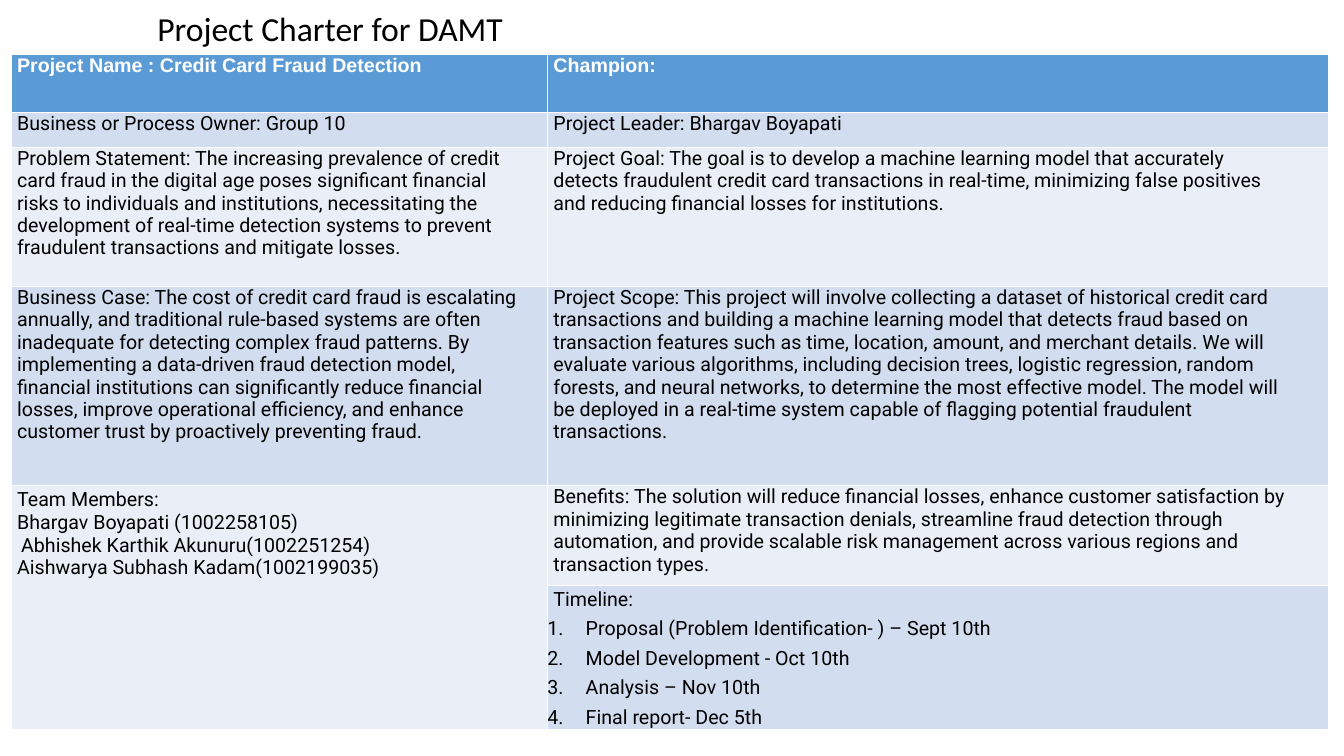
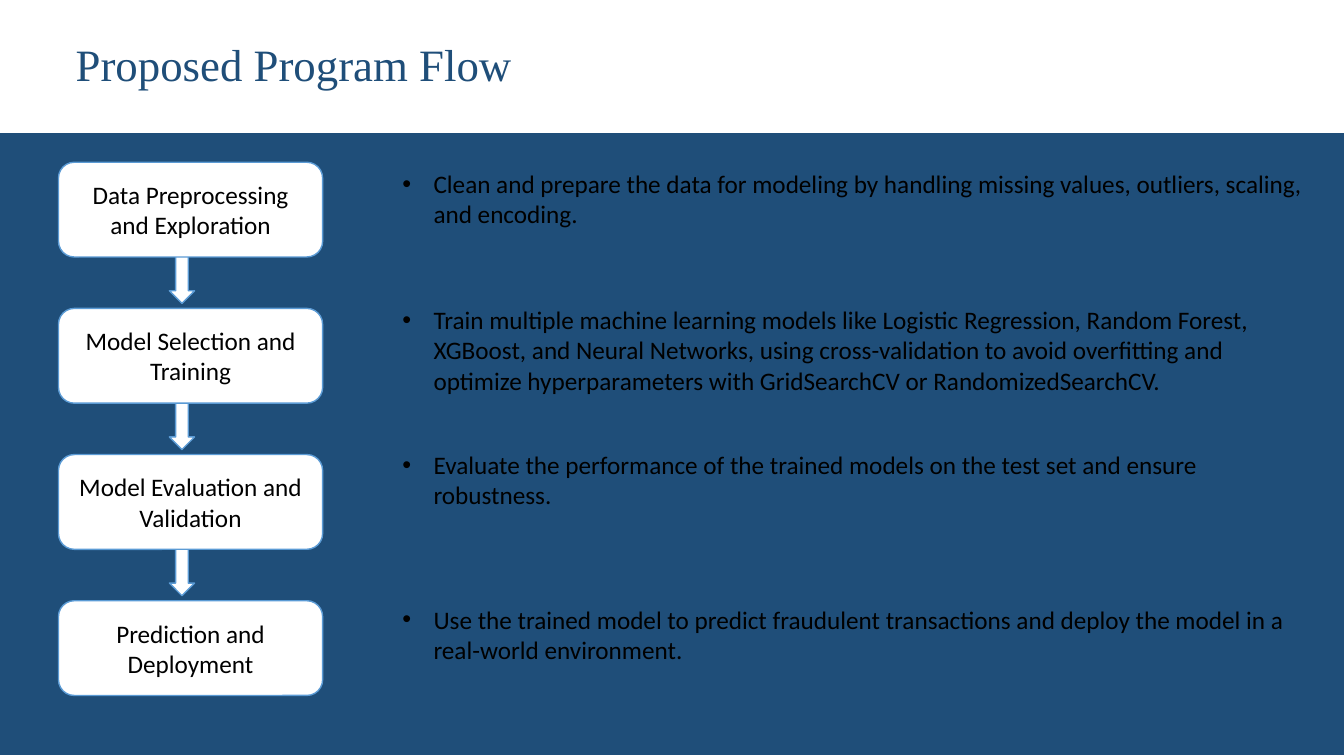
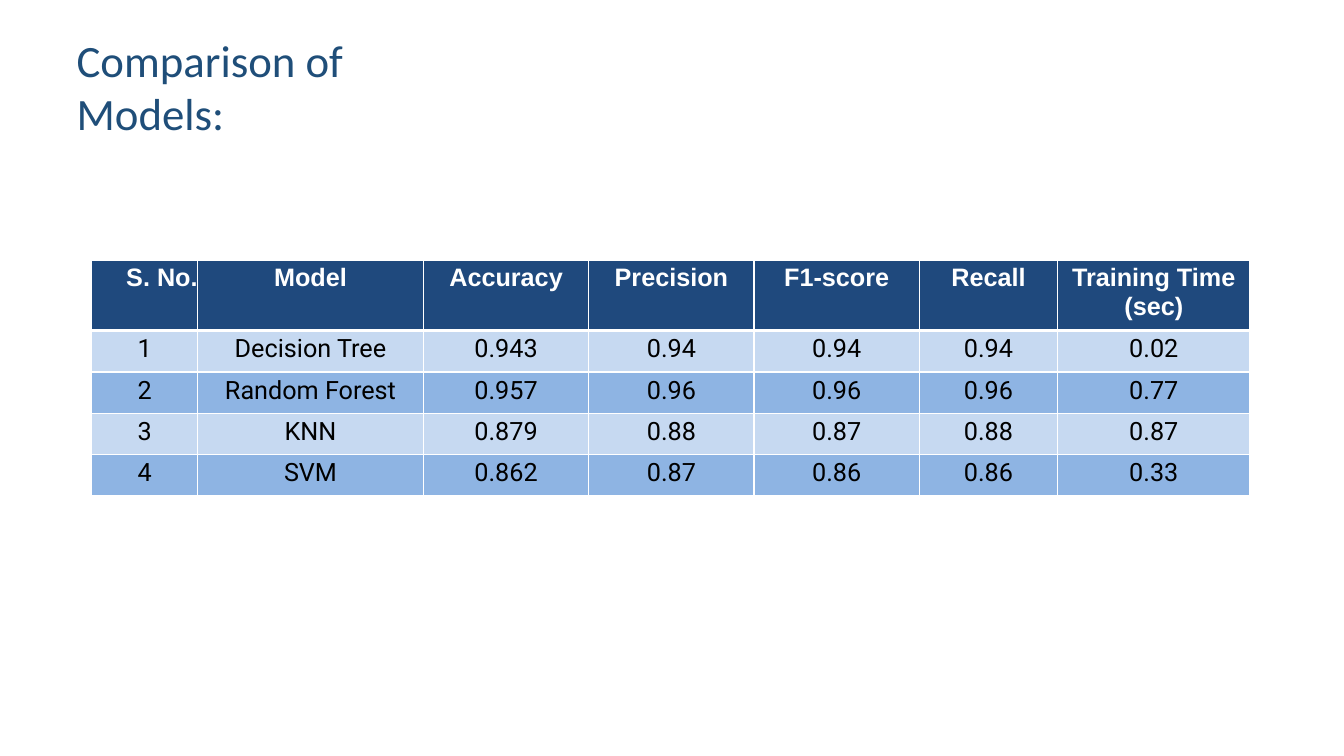
from lxml.etree import SubElement
from pptx import Presentation
from pptx.dml.color import RGBColor
from pptx.enum.shapes import MSO_SHAPE
from pptx.enum.text import MSO_ANCHOR, MSO_AUTO_SIZE, PP_ALIGN
from pptx.oxml.ns import qn
from pptx.util import Inches, Pt

NAVY, BLUE, WHITE, BLACK = "1F4E79", "5B9BD5", "FFFFFF", "000000"
LEFT, MID, RIGHT = PP_ALIGN.LEFT, PP_ALIGN.CENTER, PP_ALIGN.RIGHT
TOP, CENTER = MSO_ANCHOR.TOP, MSO_ANCHOR.MIDDLE


def tint(code):
    """Turn a hex string into a colour."""
    return RGBColor.from_string(code)


class Deck:
    """Holds the house style and the slide being built."""

    def __init__(self):
        """Start an empty wide deck."""
        self.deck = Presentation()
        self.deck.slide_width = Inches(13.33)
        self.deck.slide_height = Inches(7.5)

    def page(self, layout):
        """Add a slide and make it current."""
        self.slide = self.deck.slides.add_slide(self.deck.slide_layouts[layout])
        self.shapes = self.slide.shapes

    def place(self, shape, at):
        """Move a placeholder to a box in inches."""
        shape.left, shape.top, shape.width, shape.height = map(Inches, at)

    def para(self, par, text, size=18, font="Calibri", color=BLACK, bold=False,
             align=LEFT, before=0, line=1.0, left=0, hang=0, mark=None):
        """Fill one paragraph and set its style."""
        par.alignment, par.line_spacing = align, line
        par.space_before = Pt(before)
        props = par._p.get_or_add_pPr()
        props.set("marL", str(Inches(left)))
        props.set("indent", str(-Inches(hang)))
        if mark == "1.":
            SubElement(props, qn("a:buAutoNum"), type="arabicPeriod")
        elif mark:
            SubElement(props, qn("a:buFont"), typeface="Arial")
            SubElement(props, qn("a:buChar"), char=mark)
        else:
            SubElement(props, qn("a:buNone"))
        run = par.add_run()
        run.text = text
        run.font.size, run.font.name, run.font.bold = Pt(size), font, bold
        run.font.color.rgb = tint(color)

    def fill(self, frame, paras, **style):
        """Fill a frame from strings or (string, style) pairs."""
        for n, item in enumerate(paras):
            text, own = (item, {}) if isinstance(item, str) else item
            par = frame.add_paragraph() if n else frame.paragraphs[0]
            self.para(par, text, **{**style, **own})

    def frame(self, shape, anchor, pads):
        """Set up the text frame of a shape, pads being left, top, right, bottom."""
        frame = shape.text_frame
        frame.word_wrap, frame.auto_size = True, MSO_AUTO_SIZE.NONE
        frame.vertical_anchor = anchor
        (frame.margin_left, frame.margin_top,
         frame.margin_right, frame.margin_bottom) = map(Inches, pads)
        return frame

    def title(self, text, at, pads=(0.05, 0.05, 0.05, 0.05), **style):
        """Place the slide title."""
        self.place(self.shapes.title, at)
        frame = self.frame(self.shapes.title, CENTER, pads)
        self.fill(frame, [text], **{"size": 32, "color": NAVY, **style})

    def bullet(self, holder, text, at):
        """Place a body placeholder with one bullet."""
        self.place(holder, at)
        frame = self.frame(holder, TOP, [0.05] * 4)
        self.fill(frame, [text], left=0.31, hang=0.31, mark="•")

    def shape(self, kind, at, fill=WHITE, edge=BLUE, text=None):
        """Draw a preset shape, with a centred label if given."""
        shape = self.shapes.add_shape(kind, *map(Inches, at))
        shape.shadow.inherit = False
        shape.fill.solid()
        shape.fill.fore_color.rgb = tint(fill)
        shape.line.color.rgb = tint(edge)
        shape.line.width = Pt(1)
        if text:
            frame = self.frame(shape, CENTER, (0.13, 0.05, 0.13, 0.05))
            self.fill(frame, [text], align=MID)
        return shape

    def band(self, at):
        """Draw the navy band behind everything else."""
        band = self.shape(MSO_SHAPE.RECTANGLE, at, NAVY, NAVY)
        self.shapes.title.element.addprevious(band.element)

    def edge(self, cell, top, base):
        """Give a cell white borders."""
        props = cell._tc.get_or_add_tcPr()
        for side, width in zip("LRTB", (1, 1, top, base)):
            line = SubElement(props, qn("a:ln" + side), w=str(Pt(width)))
            fill = SubElement(line, qn("a:solidFill"))
            SubElement(fill, qn("a:srgbClr"), val=WHITE)

    def table(self, at, cols, rows, cells, fills, head, body, pads, top=0, rule=1):
        """Draw a table with a header row and two alternating bands."""
        grid = self.shapes.add_table(len(rows), len(cols), *map(Inches, at)).table
        for col, width in zip(grid.columns, cols):
            col.width = Inches(width)
        for row, height in zip(grid.rows, rows):
            row.height = Inches(height)
        for r, line in enumerate(cells):
            for c, paras in enumerate(line):
                cell = grid.cell(r, c)
                cell.margin_left = cell.margin_bottom = 0
                cell.margin_top, cell.margin_right = Inches(top), Inches(pads[c])
                self.edge(cell, rule if r == 1 else 1, 1 if r else rule)
                cell.fill.solid()
                cell.fill.fore_color.rgb = tint(fills[2 - r % 2 if r else 0])
                self.fill(cell.text_frame, paras, **(body if r else head))
        return grid


def charter(deck):
    """Build the project charter."""
    deck.page(5)
    deck.title("Project Charter for DAMT", (1.46, 0.01, 10.67, 0.54),
               (0.1, 0.05, 0.1, 0.05), size=24, color=BLACK)
    lead = {"line": Pt(18.2), "before": 3.1}
    name = {"before": 0.1}
    step = {"line": Pt(18), "before": 3.1, "left": 0.38, "hang": 0.38, "mark": "1."}
    steps = ("Proposal (Problem Identification- ) – Sept 10th",
             "Model Development - Oct 10th", "Analysis – Nov 10th",
             "Final report- Dec 5th")
    cells = [
        [["Project Name : Credit Card Fraud Detection"], ["Champion:"]],
        [["Business or Process Owner: Group 10"],
         ["Project Leader: Bhargav Boyapati"]],
        [["Problem Statement: The increasing prevalence of credit card fraud in "
          "the digital age poses significant financial risks to individuals and "
          "institutions, necessitating the development of real-time detection "
          "systems to prevent fraudulent transactions and mitigate losses."],
         ["Project Goal: The goal is to develop a machine learning model that "
          "accurately detects fraudulent credit card transactions in real-time, "
          "minimizing false positives and reducing financial losses for "
          "institutions."]],
        [["Business Case: The cost of credit card fraud is escalating annually, "
          "and traditional rule-based systems are often inadequate for detecting "
          "complex fraud patterns. By implementing a data-driven fraud detection "
          "model, financial institutions can significantly reduce financial "
          "losses, improve operational efficiency, and enhance customer trust by "
          "proactively preventing fraud."],
         ["Project Scope: This project will involve collecting a dataset of "
          "historical credit card transactions and building a machine learning "
          "model that detects fraud based on transaction features such as time, "
          "location, amount, and merchant details. We will evaluate various "
          "algorithms, including decision trees, logistic regression, random "
          "forests, and neural networks, to determine the most effective model. "
          "The model will be deployed in a real-time system capable of flagging "
          "potential fraudulent transactions."]],
        [[("Team Members:", lead),
          ("Bhargav Boyapati (1002258105)", name),
          ("Abhishek Karthik Akunuru(1002251254)", {**name, "left": 0.1}),
          ("Aishwarya Subhash Kadam(1002199035)", name)],
         ["Benefits: The solution will reduce financial losses, enhance customer "
          "satisfaction by minimizing legitimate transaction denials, streamline "
          "fraud detection through automation, and provide scalable risk "
          "management across various regions and transaction types."]],
        [[], [("Timeline:", lead)] + [(text, step) for text in steps]],
    ]
    grid = deck.table(
        (0.11, 0.54, 13.07, 6.7), (5.32, 7.75),
        (0.58, 0.34, 1.38, 1.98, 0.99, 1.43), cells, (BLUE, "D2DEEF", "EAEFF7"),
        {"size": 14, "font": "Arial", "color": WHITE, "bold": True,
         "before": 3.1, "left": 0.06},
        {"size": 14, "font": "Roboto", "before": 3.5, "line": 0.97, "left": 0.06},
        (0.24, 0.4))
    grid.cell(4, 0).merge(grid.cell(5, 0))


def flow(deck):
    """Build the program flow."""
    deck.page(4)
    deck.title("Proposed Program Flow", (0.7, 0.29, 11.5, 0.75),
               font="Times New Roman", line=0.9)
    deck.band((0, 1.33, 13.33, 6.15))
    steps = (
        ("Data Preprocessing and Exploration", 1.62, 0.71,
         "Clean and prepare the data for modeling by handling missing values, "
         "outliers, scaling, and encoding."),
        ("Model Selection and Training", 2.97, 1.01,
         "Train multiple machine learning models like Logistic Regression, Random "
         "Forest, XGBoost, and Neural Networks, using cross-validation to avoid "
         "overfitting and optimize hyperparameters with GridSearchCV or "
         "RandomizedSearchCV."),
        ("Model Evaluation and Validation", 4.41, 0.71,
         "Evaluate the performance of the trained models on the test set and "
         "ensure robustness."),
        ("Prediction and Deployment", 5.94, 0.71,
         "Use the trained model to predict fraudulent transactions and deploy the "
         "model in a real-world environment."),
    )
    holders = list(deck.slide.placeholders)[1:]
    for n, (label, top, high, text) in enumerate(steps):
        y = 1.61 + 1.45 * n
        if n < len(steps) - 1:
            deck.shape(MSO_SHAPE.DOWN_ARROW, (1.68, y + 0.89, 0.25, 0.51))
        deck.shape(MSO_SHAPE.ROUNDED_RECTANGLE, (0.58, y, 2.62, 0.94), text=label)
        deck.bullet(holders[n], text, (3.94, top, 9.15, high))


def models(deck):
    """Build the comparison of models."""
    deck.page(5)
    deck.title("Comparison of Models:", (0.75, 0.57, 4.1, 0.56), (0, 0.01, 1, 0),
               before=1, left=0.01)
    heads = ("Model", "Accuracy", "Precision", "F1-score", "Recall")
    data = (("1", "Decision Tree", "0.943", "0.94", "0.94", "0.94", "0.02"),
            ("2", "Random Forest", "0.957", "0.96", "0.96", "0.96", "0.77"),
            ("3", "KNN", "0.879", "0.88", "0.87", "0.88", "0.87"),
            ("4", "SVM", "0.862", "0.87", "0.86", "0.86", "0.33"))
    cells = [[[("S. No.", {"align": RIGHT})], *([text] for text in heads),
              ["Training Time", ("(sec)", {"before": 0})]]]
    cells += [[[text] for text in row] for row in data]
    base = {"align": MID, "before": 3.1}
    deck.table(
        (0.91, 2.58, 11.5, 2.32), (1.05, 2.24, 1.64, 1.64, 1.64, 1.37, 1.91),
        [0.7] + [0.41] * 4, cells, ("1F497D", "C6D9F1", "8EB4E3"),
        {**base, "font": "Arial", "color": WHITE, "bold": True},
        {**base, "font": "Roboto"}, [0] * 7, top=0.04, rule=3)


def main():
    """Build and save the deck."""
    deck = Deck()
    for build in (charter, flow, models):
        build(deck)
    deck.deck.save("out.pptx")


if __name__ == "__main__":
    main()
